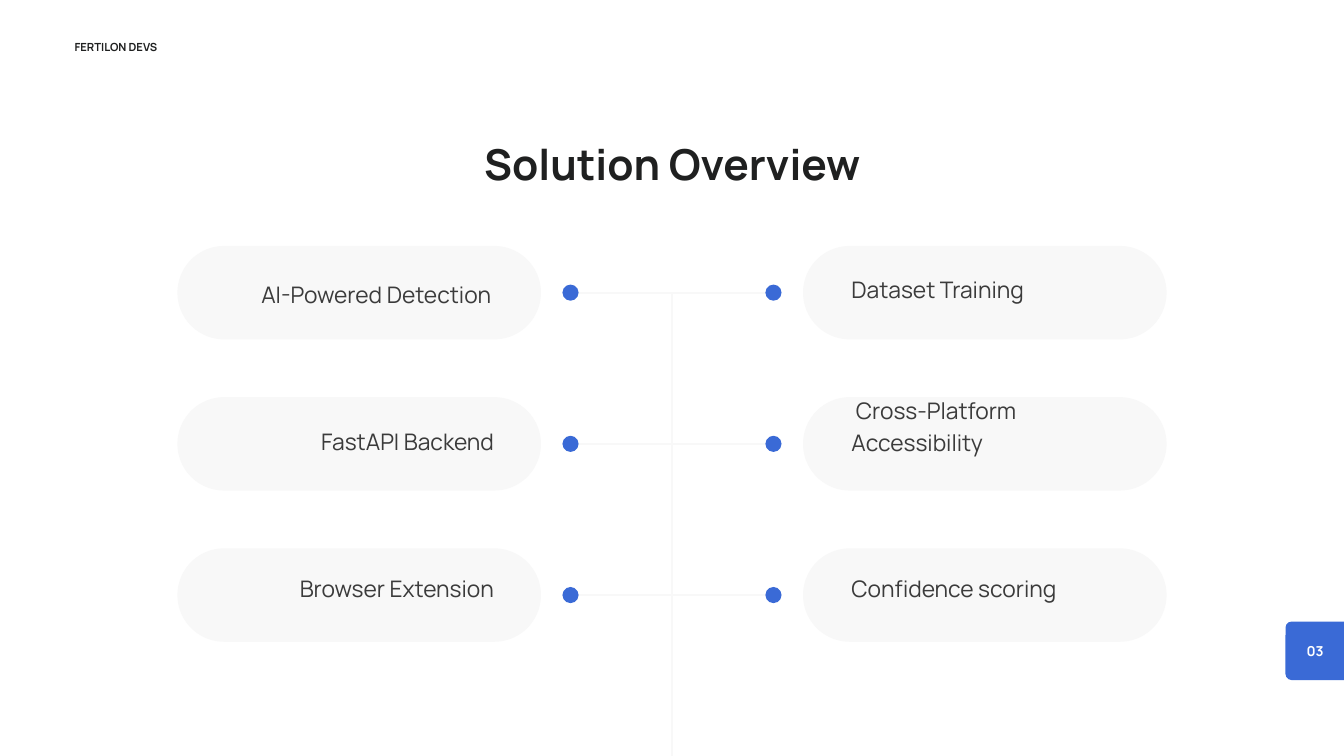
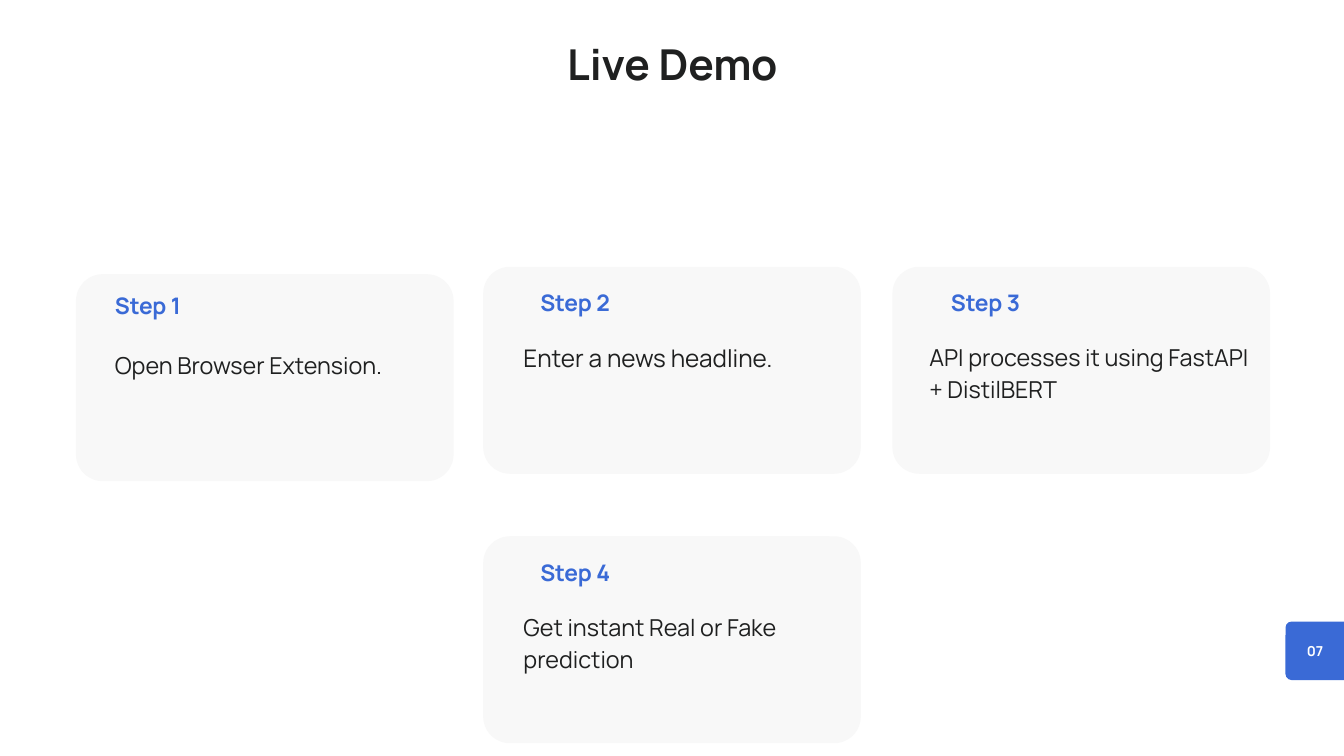
import pptx
import pptx.dml.color
import pptx.enum.shapes
import pptx.enum.text
import pptx.oxml
import pptx.oxml.ns
import pptx.util

Inches = pptx.util.Inches
Pt = pptx.util.Pt
SHAPE = pptx.enum.shapes.MSO_SHAPE
ALIGN = pptx.enum.text.PP_ALIGN

COLORS = {
    "ink": "1F2020",
    "gray": "3B3B3B",
    "blue": "3A6AD6",
    "pale": "F8F8F8",
    "white": "FFFFFF",
}
FRAME_FORMAT = {
    "margin_left": 0,
    "margin_top": 0,
    "margin_right": 0,
    "margin_bottom": 0,
    "word_wrap": True,
    "auto_size": pptx.enum.text.MSO_AUTO_SIZE.NONE,
    "vertical_anchor": pptx.enum.text.MSO_ANCHOR.TOP,
}
# style: size, line spacing, colour, bold, alignment
STYLES = {
    "title": (45.6, 63.9, "ink", True, ALIGN.CENTER),
    "team": (12, 16.8, "ink", True, ALIGN.LEFT),
    "number": (14.7, 20.6, "white", True, ALIGN.CENTER),
    "left feature": (24.4, 34.2, "gray", False, ALIGN.RIGHT),
    "right feature": (24.4, 34.2, "gray", False, ALIGN.LEFT),
    "step": (24.4, 34.2, "blue", True, ALIGN.LEFT),
    "action": (25, 35, "ink", False, ALIGN.LEFT),
    "large action": (26, 36.4, "ink", False, ALIGN.LEFT),
}


def add_text(page, text, style, left, top, width, height):
    """Write text in the title placeholder for the title style, else in a new box."""
    if style == "title":
        box = page.shapes.title
        box.left, box.top, box.width, box.height = map(Inches, (left, top, width, height))
    else:
        box = page.shapes.add_textbox(*map(Inches, (left, top, width, height)))
    for name, value in FRAME_FORMAT.items():
        setattr(box.text_frame, name, value)
    size, spacing, color, bold, align = STYLES[style]
    para = box.text_frame.paragraphs[0]
    para.alignment = align
    para.line_spacing = Pt(spacing)
    span = para.add_run()
    span.text = text
    font_format = {"name": "Manrope", "size": Pt(size), "bold": bold}
    for name, value in font_format.items():
        setattr(span.font, name, value)
    span.font.color.rgb = pptx.dml.color.RGBColor.from_string(COLORS[color])


def add_filled(page, kind, color, left, top, width, height, radius=None):
    shape = page.shapes.add_shape(kind, *map(Inches, (left, top, width, height)))
    shape.shadow.inherit = False
    shape.fill.solid()
    shape.fill.fore_color.rgb = pptx.dml.color.RGBColor.from_string(COLORS[color])
    shape.line.fill.background()
    if radius is not None:
        shape.adjustments[0] = radius / min(width, height)


deck = pptx.Presentation()
deck.slide_width = Inches(20)
deck.slide_height = Inches(11.25)

# Shared title and page number
pages = []
for title, title_top, number in (("Solution Overview", 1.92, "03"), ("Live Demo", 0.44, "07")):
    page = deck.slides.add_slide(deck.slide_layouts[5])
    page.background.fill.solid()
    page.background.fill.fore_color.rgb = pptx.dml.color.RGBColor.from_string(COLORS["white"])
    add_text(page, title, "title", 5.85, title_top, 8.31, 0.9)
    add_filled(page, SHAPE.ROUNDED_RECTANGLE, "blue", 19.13, 9.25, 1.04, 0.87, 0.09)
    add_text(page, number, "number", 19.33, 9.53, 0.48, 0.28)
    pages.append(page)
overview, demo = pages

# Solution overview: a tree with three rows of features
add_text(overview, "FERTILON DEVS", "team", 1.11, 0.56, 1.79, 0.23)

first_row, row_step, pill_height = 3.66, 2.25, 1.39
row_centers = [first_row + row * row_step + pill_height / 2 for row in range(3)]
branches = [(8.49, center, 11.51, center) for center in row_centers]
trunk = (10, 4.38, 10, 11.55)
for ends in branches + [trunk]:
    line = overview.shapes.add_connector(
        pptx.enum.shapes.MSO_CONNECTOR.STRAIGHT, *map(Inches, ends))
    line.line.color.rgb = pptx.dml.color.RGBColor.from_string(COLORS["pale"])
    line.line.width = Pt(2.25)
    line._element.spPr.append(pptx.oxml.parse_xml(
        "<a:effectLst %s/>" % pptx.oxml.ns.nsdecls("a")))

# side: style, pill left, dot left, then text, left, top and height for each row
sides = (
    ("left feature", 2.64, 8.37, (
        ("AI-Powered Detection", 3.54, 4.11, 0.48),
        ("FastAPI Backend", 3.58, 6.29, 0.48),
        ("Browser Extension", 3.58, 8.49, 0.48))),
    ("right feature", 11.95, 11.39, (
        ("Dataset Training", 12.67, 4.04, 0.48),
        (" Cross-Platform Accessibility", 12.67, 5.83, 0.95),
        ("Confidence scoring", 12.67, 8.49, 0.48))),
)
for style, pill_left, dot_left, features in sides:
    for center, (feature, left, top, height) in zip(row_centers, features):
        add_filled(overview, SHAPE.ROUNDED_RECTANGLE, "pale", pill_left,
                   center - pill_height / 2, 5.41, pill_height, pill_height / 2)
        add_filled(overview, SHAPE.OVAL, "blue", dot_left, center - 0.12, 0.24, 0.24)
        add_text(overview, feature, style, left, top, 3.77, height)

# Live demo: card left and top, heading left and top, action, its style, left, top and width
steps = (
    (1.13, 4.08, 1.71, 4.27, "Open Browser Extension.", "action", 1.71, 5.15, 4.35),
    (7.19, 3.97, 8.04, 4.23, "Enter a news headline.", "large action", 7.79, 5.03, 4.43),
    (13.28, 3.97, 14.15, 4.23, "API processes it using FastAPI + DistilBERT",
     "action", 13.83, 5.03, 4.98),
    (7.19, 7.98, 8.04, 8.25, "Get instant Real or Fake prediction",
     "action", 7.79, 9.05, 4.98),
)
for number, step in enumerate(steps, 1):
    card_left, card_top, head_left, head_top, action, style, left, top, width = step
    add_filled(demo, SHAPE.ROUNDED_RECTANGLE, "pale", card_left, card_top, 5.62, 3.08, 0.4)
    add_text(demo, f"Step {number}", "step", head_left, head_top, 2.26, 0.48)
    add_text(demo, action, style, left, top, width, 1.21)

deck.save("out.pptx")
